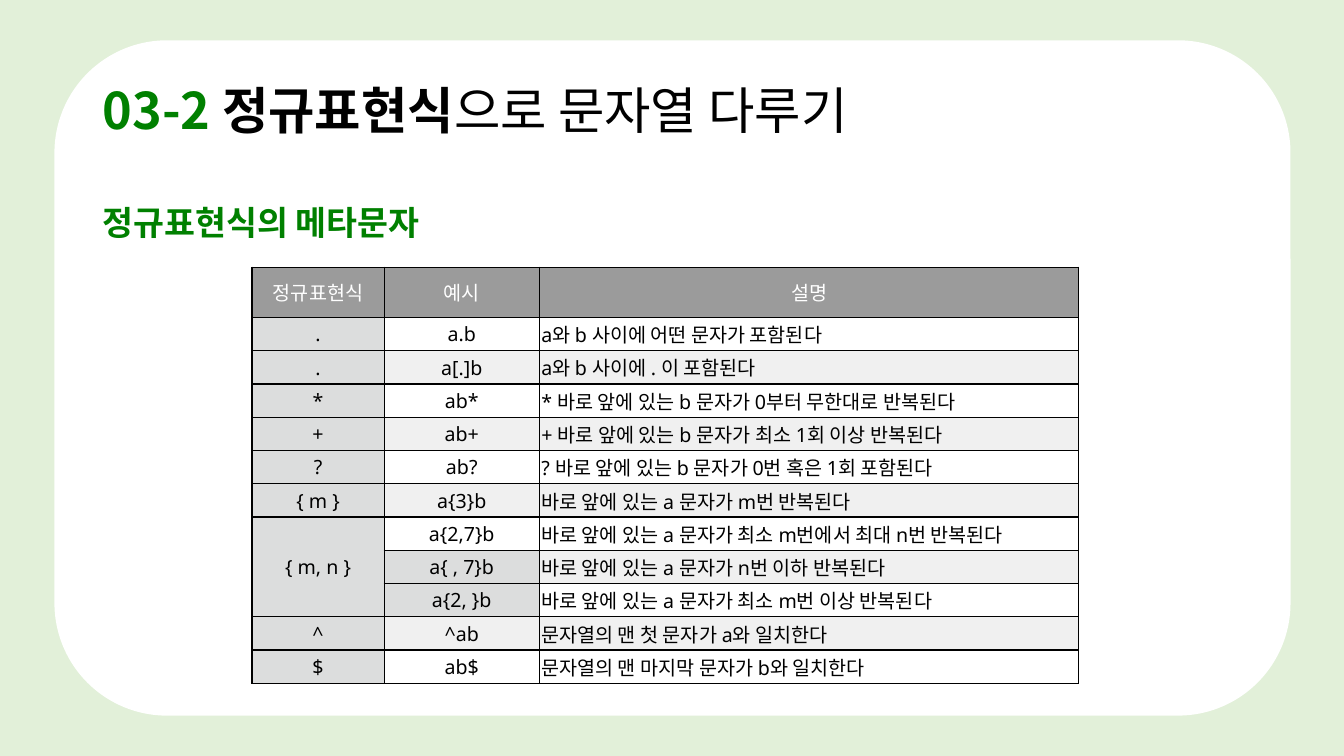
from dataclasses import dataclass

from pptx import Presentation
from pptx.dml.color import RGBColor
from pptx.enum.shapes import MSO_SHAPE as Shape
from pptx.enum.text import MSO_ANCHOR as Anchor, PP_ALIGN as Align
from pptx.oxml.ns import qn
from pptx.util import Inches, Pt
from lxml.etree import SubElement


@dataclass(frozen=True)
class Theme:
    mint: str = "E2F0D9"
    white: str = "FFFFFF"
    green: str = "008000"
    black: str = "000000"
    header: str = "9B9B9B"
    key: str = "DCDDDD"
    band: str = "F0F0F0"
    title_size: int = 36
    heading_size: int = 24
    table_size: int = 14
    title_font: str = "Noto Sans CJK KR"
    heading_font: str = "Arial"
    table_font: str = "Noto Sans"
    korean_font: str = "Noto Sans CJK KR"


THEME = Theme()
HEADINGS = ("정규표현식", "예시", "설명")
METACHARACTERS = (
    (".", "a.b", "a와 b 사이에 어떤 문자가 포함된다"),
    (".", "a[.]b", "a와 b 사이에 . 이 포함된다"),
    ("*", "ab*", "* 바로 앞에 있는 b 문자가 0부터 무한대로 반복된다"),
    ("+", "ab+", "+ 바로 앞에 있는 b 문자가 최소 1회 이상 반복된다"),
    ("?", "ab?", "? 바로 앞에 있는 b 문자가 0번 혹은 1회 포함된다"),
    ("{ m }", "a{3}b", "바로 앞에 있는 a 문자가 m번 반복된다"),
    ("{ m, n }", "a{2,7}b", "바로 앞에 있는 a 문자가 최소 m번에서 최대 n번 반복된다"),
    ("", "a{ , 7}b", "바로 앞에 있는 a 문자가 n번 이하 반복된다"),
    ("", "a{2, }b", "바로 앞에 있는 a 문자가 최소 m번 이상 반복된다"),
    ("^", "^ab", "문자열의 맨 첫 문자가 a와 일치한다"),
    ("$", "ab$", "문자열의 맨 마지막 문자가 b와 일치한다"),
)
COLUMN_WIDTHS = (1.31, 1.54, 5.35)
HEADER_HEIGHT, ROW_HEIGHT = 0.5, 0.33
SPAN_START, SPAN_END = 7, 9


def write(paragraph, text, *, size, font, color, bold=False, align=Align.LEFT, spacing=None):
    paragraph.alignment = align
    paragraph.line_spacing = spacing
    run = paragraph.add_run()
    run.text = text
    run.font.size = Pt(size)
    run.font.name = font
    run.font.bold = bold
    run.font.color.rgb = RGBColor.from_string(color)
    SubElement(run.font._element, qn("a:ea"), typeface=THEME.korean_font)


def paint(fill, color):
    fill.solid()
    fill.fore_color.rgb = RGBColor.from_string(color)


def add_backdrop(slide, left, top, width, height):
    paint(slide.background.fill, THEME.mint)
    panel = slide.shapes.add_shape(
        Shape.ROUNDED_RECTANGLE, Inches(left), Inches(top), Inches(width), Inches(height))
    panel.shadow.inherit = False
    paint(panel.fill, THEME.white)
    panel.line.fill.background()
    slide.shapes.title._element.addprevious(panel._element)


def add_title(slide, left, top, width, height):
    title = slide.shapes.title
    title.left, title.top = Inches(left), Inches(top)
    title.width, title.height = Inches(width), Inches(height)
    title.text_frame.vertical_anchor = Anchor.MIDDLE
    title.text_frame.word_wrap = True
    for text, color, bold in (("03-2 ", THEME.green, True),
                              ("정규표현식", THEME.black, True),
                              ("으로 문자열 다루기", THEME.black, False)):
        write(title.text_frame.paragraphs[0], text, size=THEME.title_size,
              font=THEME.title_font, color=color, bold=bold, spacing=0.9)


def add_heading(slide, left, top, width, height):
    heading = slide.shapes.add_textbox(Inches(left), Inches(top), Inches(width), Inches(height))
    heading.text_frame.word_wrap = True
    write(heading.text_frame.paragraphs[0], "정규표현식의 메타문자", size=THEME.heading_size,
          font=THEME.heading_font, color=THEME.green, bold=True, spacing=0.9)


def outline(cell):
    properties = cell._tc.get_or_add_tcPr()
    for side in ("a:lnL", "a:lnR", "a:lnT", "a:lnB"):
        border = SubElement(properties, qn(side), w=str(Pt(1)))
        SubElement(SubElement(border, qn("a:solidFill")), qn("a:srgbClr"), val=THEME.black)


def cell_color(row, column):
    if row == 0:
        return THEME.header
    if column == 0 or column == 1 and SPAN_START < row <= SPAN_END:
        return THEME.key
    return THEME.white if row % 2 else THEME.band


def add_metacharacters(slide, left, top, width, height):
    rows = (HEADINGS,) + METACHARACTERS
    table = slide.shapes.add_table(len(rows), len(HEADINGS), Inches(left), Inches(top),
                                   Inches(width), Inches(height)).table
    for column, column_width in zip(table.columns, COLUMN_WIDTHS):
        column.width = Inches(column_width)
    for row, values in enumerate(rows):
        table.rows[row].height = Inches(ROW_HEIGHT if row else HEADER_HEIGHT)
        for column, value in enumerate(values):
            cell = table.cell(row, column)
            outline(cell)
            paint(cell.fill, cell_color(row, column))
            cell.vertical_anchor = Anchor.MIDDLE
            cell.margin_left = cell.margin_right = Inches(0.02)
            cell.margin_top = cell.margin_bottom = Inches(0.02)
            if value:
                write(cell.text_frame.paragraphs[0], value, size=THEME.table_size,
                      font=THEME.table_font, color=THEME.black if row else THEME.white,
                      align=Align.LEFT if row and column == 2 else Align.CENTER)
    table.cell(SPAN_START, 0).merge(table.cell(SPAN_END, 0))


def main():
    deck = Presentation()
    deck.slide_width, deck.slide_height = Inches(13.33), Inches(7.5)
    slide = deck.slides.add_slide(deck.slide_layouts[5])
    add_backdrop(slide, 0.54, 0.4, 12.26, 6.7)
    add_title(slide, 0.92, 0.4, 11.5, 1.45)
    add_heading(slide, 0.92, 2, 11.5, 0.5)
    add_metacharacters(slide, 2.5, 2.65, sum(COLUMN_WIDTHS),
                       HEADER_HEIGHT + ROW_HEIGHT * len(METACHARACTERS))
    deck.save("out.pptx")


if __name__ == "__main__":
    main()
